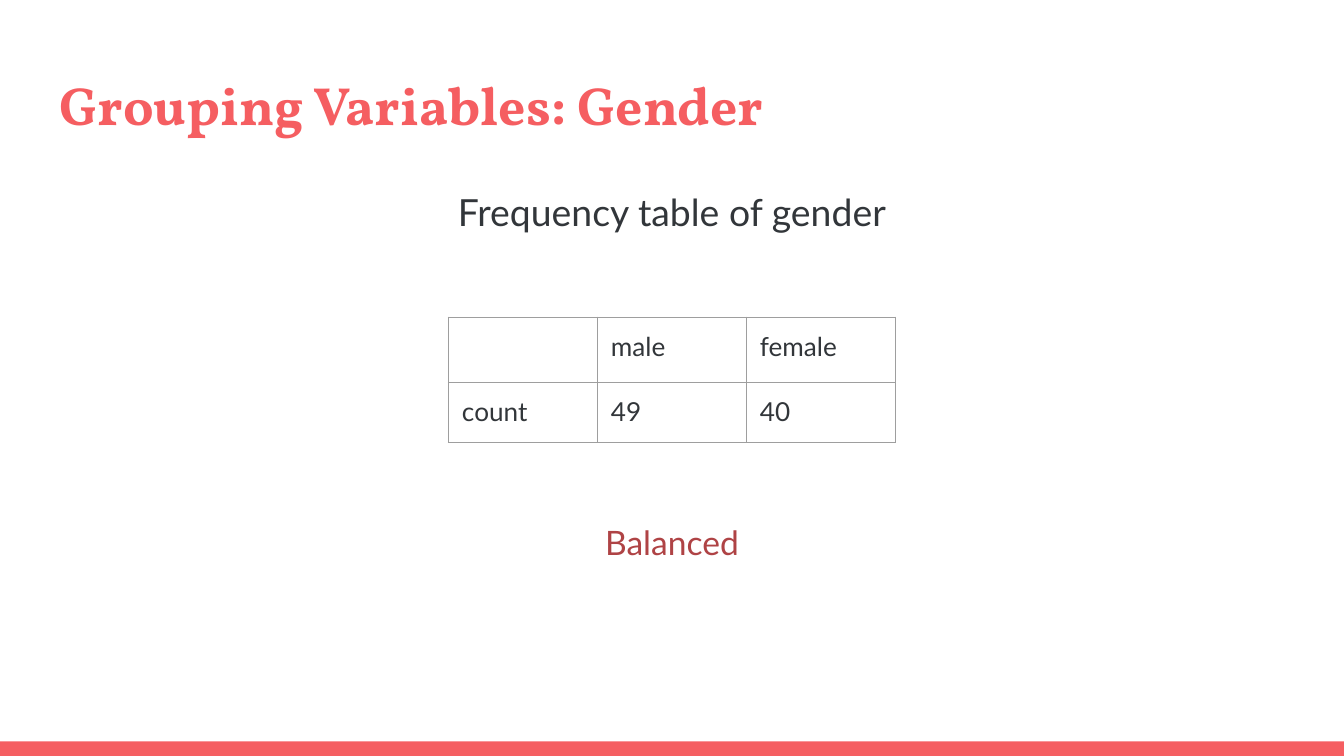
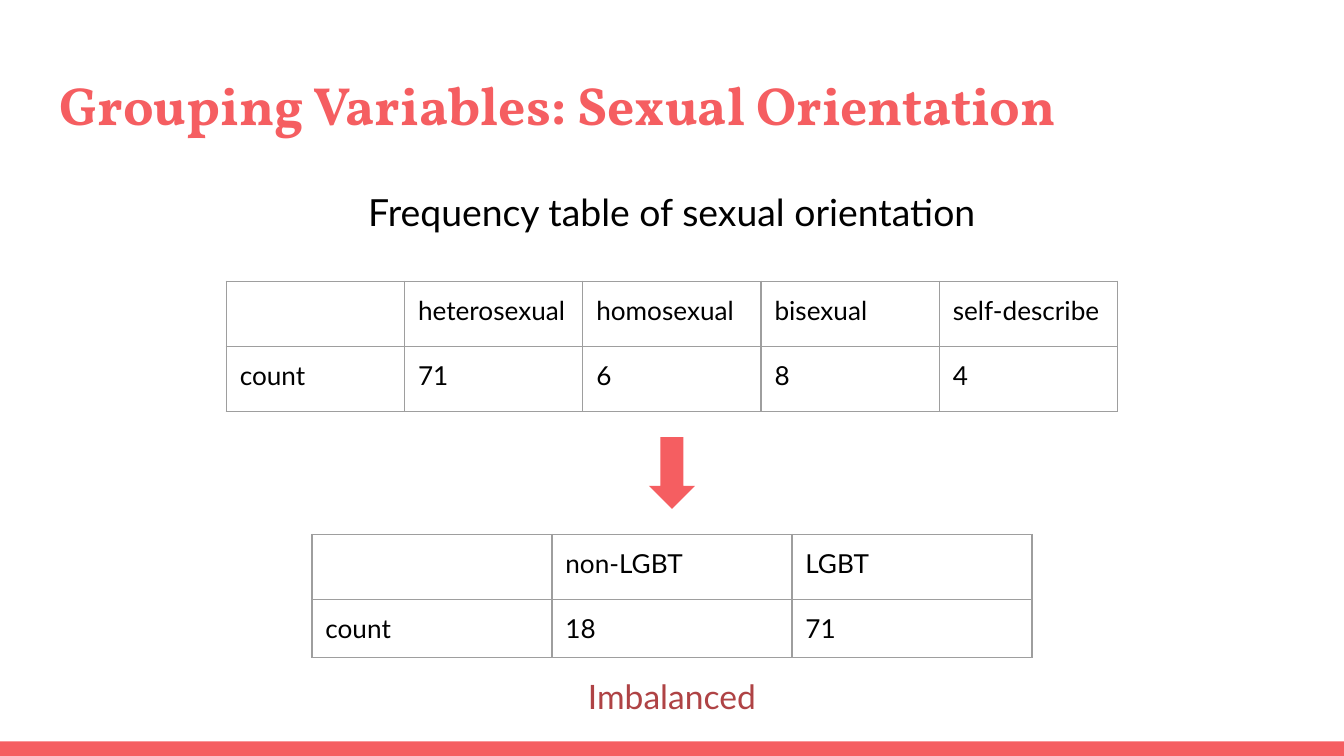
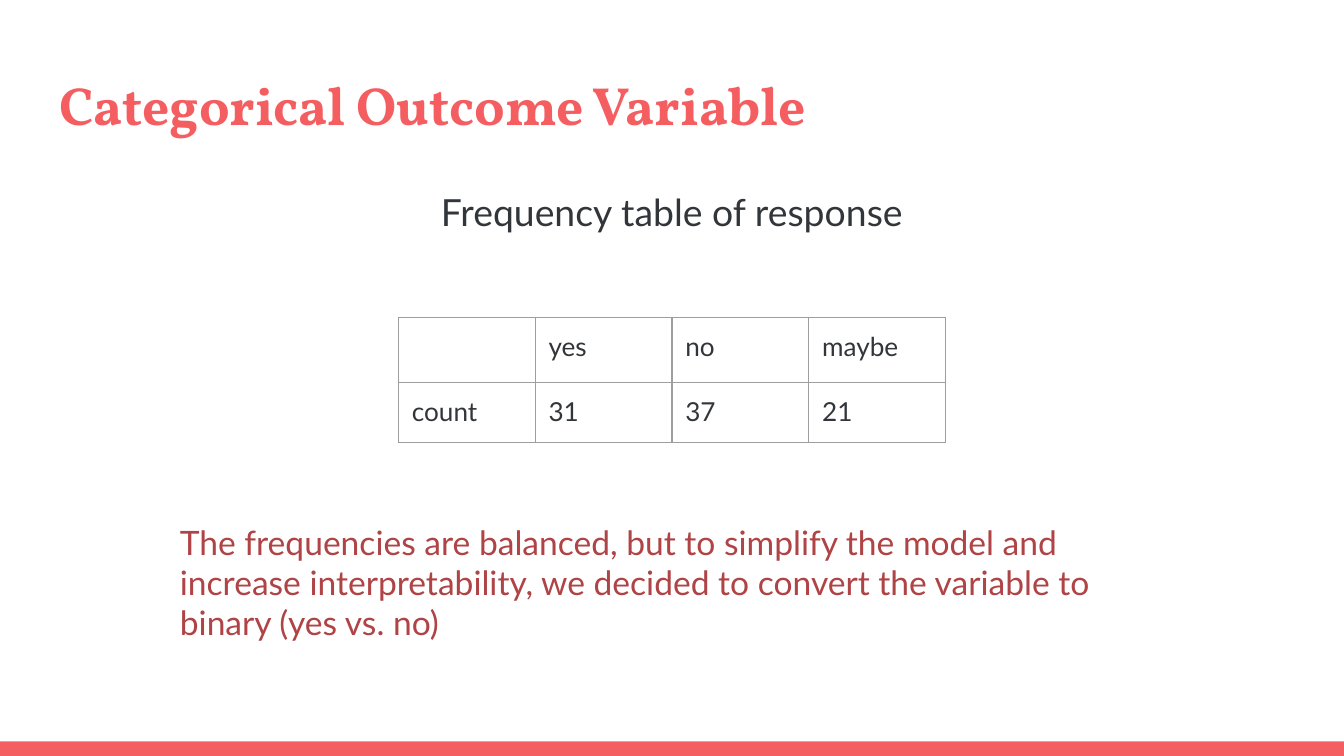
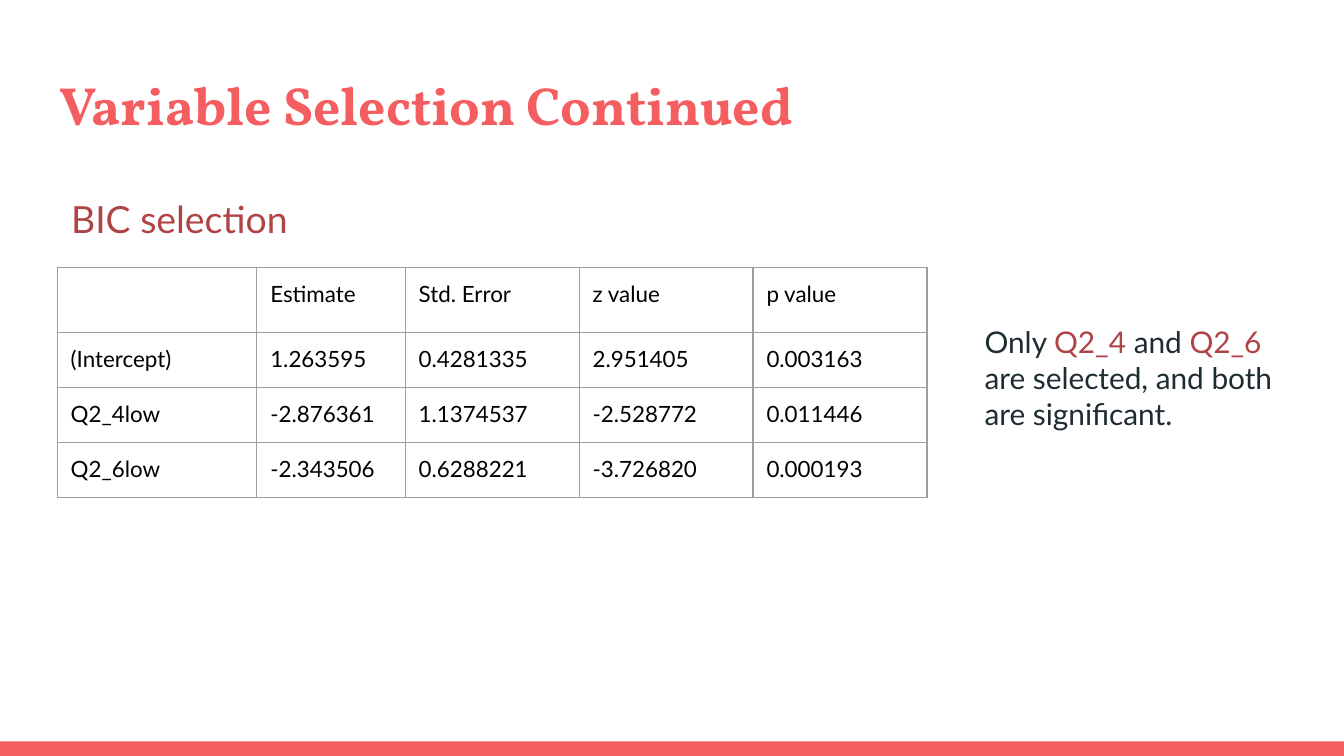
import pptx
import pptx.util
import pptx.dml.color
import pptx.enum.shapes
import pptx.enum.text
from dataclasses import dataclass
from lxml import etree

Pt = pptx.util.Pt
ALIGN = pptx.enum.text.PP_ALIGN
SHAPE = pptx.enum.shapes.MSO_SHAPE


@dataclass(frozen=True)
class Theme:
    coral: str = "F55E61"
    red: str = "AF4345"
    slate: str = "32363A"
    ink: str = "1E2D31"
    black: str = "000000"
    grid: str = "9E9E9E"
    head: str = "Vollkorn"
    body: str = "Lato"
    title: float = 28.8
    lead: float = 20
    note: float = 18
    side: float = 16
    cell: float = 14
    small: float = 12


T = Theme()
WIDE, HIGH = 720, 405
PAD = 7.2
HEAD_ROW = 34.8
BAND = (0, 397.2, WIDE, 7.8)
TITLE = (24.5, 31, 671, 49)
LEAD = (24.5, 90.7, 671, 41.5)

# Tables: top, column widths, height of the rows below the head, size, colour, rows.
# A table without "left" is centred on the slide.
# Notes: box, size, alignment, runs of (text, colour).
SLIDES = [
    dict(
        title="Grouping Variables: Gender",
        lead=("Frequency table of gender", T.slate),
        tables=[dict(top=170, cols=[79.8] * 3, row=32.4, size=T.cell, ink=T.slate,
                     rows=[["", "male", "female"], ["count", "49", "40"]])],
        notes=[((300.5, 272.2, 119, 36), T.note, ALIGN.CENTER, [("Balanced", T.red)])],
    ),
    dict(
        title="Grouping Variables: Sexual Orientation",
        lead=("Frequency table of sexual orientation", T.black),
        tables=[
            dict(top=150.7, cols=[95.5] * 5, row=34.8, size=T.cell, ink=T.black,
                 rows=[["", "heterosexual", "homosexual", "bisexual", "self-describe"],
                       ["count", "71", "6", "8", "4"]]),
            dict(top=286.3, cols=[128.6] * 3, row=31.2, size=T.cell, ink=T.black,
                 rows=[["", "non-LGBT", "LGBT"], ["count", "18", "71"]]),
        ],
        arrow=(347.7, 234.2, 24.6, 38.4),
        notes=[((300.5, 354.8, 119, 36), T.note, ALIGN.CENTER, [("Imbalanced", T.red)])],
    ),
    dict(
        title="Categorical Outcome Variable",
        lead=("Frequency table of response", T.slate),
        tables=[dict(top=170, cols=[73.3] * 4, row=32.4, size=T.cell, ink=T.slate,
                     rows=[["", "yes", "no", "maybe"], ["count", "31", "37", "21"]])],
        notes=[((89.3, 272.2, 541.4, 80), T.note, ALIGN.LEFT,
                [("The frequencies are balanced, but to simplify the model and increase "
                  "interpretability, we decided to convert the variable to binary "
                  "(yes vs. no)", T.red)])],
    ),
    dict(
        title="Variable Selection Continued",
        tables=[dict(left=30.7, top=143.2, cols=[106.9, 79.5] + [93.2] * 3, row=29.5,
                     size=T.small, ink=T.black,
                     rows=[["", "Estimate", "Std. Error", "z value", "p value"],
                           ["(Intercept)", "1.263595", "0.4281335", "2.951405", "0.003163"],
                           ["Q2_4low", "-2.876361", "1.1374537", "-2.528772", "0.011446"],
                           ["Q2_6low", "-2.343506", "0.6288221", "-3.726820", "0.000193"]])],
        notes=[
            ((31, 98, 239, 39), T.lead, ALIGN.LEFT, [("BIC selection", T.red)]),
            ((520.4, 166.2, 180, 73), T.side, ALIGN.LEFT,
             [("Only ", T.ink), ("Q2_4", T.red), (" and ", T.ink), ("Q2_6", T.red),
              (" are selected, and both are significant.", T.ink)]),
        ],
    ),
]


def rgb(ink):
    return pptx.dml.color.RGBColor.from_string(ink)


def pts(box):
    return [Pt(n) for n in box]


def style(font, size, ink, face=T.body, bold=False):
    font.size, font.name, font.bold = Pt(size), face, bold
    font.color.rgb = rgb(ink)


def write(frame, runs, size, align=ALIGN.LEFT, **look):
    """Fill a text frame with one paragraph of coloured runs."""
    frame.word_wrap = True
    frame.auto_size = pptx.enum.text.MSO_AUTO_SIZE.NONE
    frame.vertical_anchor = pptx.enum.text.MSO_ANCHOR.TOP
    frame.margin_left = frame.margin_right = Pt(PAD)
    frame.margin_top = frame.margin_bottom = Pt(PAD)
    para = frame.paragraphs[0]
    para.alignment = align
    for text, ink in runs:
        run = para.add_run()
        run.text = text
        style(run.font, size, ink, **look)
    return para


def add_text(slide, box, size, align, runs):
    return write(slide.shapes.add_textbox(*pts(box)).text_frame, runs, size, align)


def add_block(slide, kind, box):
    """Add a plain coral shape."""
    block = slide.shapes.add_shape(kind, *pts(box))
    block.shadow.inherit = False
    block.fill.solid()
    block.fill.fore_color.rgb = rgb(T.coral)
    block.line.fill.background()
    return block


def rule(cell):
    """Draw the thin grid line on all four sides of a cell."""
    ns = "http://schemas.openxmlformats.org/drawingml/2006/main"
    props = cell._tc.get_or_add_tcPr()
    for spot, side in enumerate(("lnL", "lnR", "lnT", "lnB")):
        line = etree.Element(f"{{{ns}}}{side}", w=str(Pt(0.75)))
        fill = etree.SubElement(line, f"{{{ns}}}solidFill")
        etree.SubElement(fill, f"{{{ns}}}srgbClr", val=T.grid)
        props.insert(spot, line)


def add_grid(slide, top, cols, row, size, ink, rows, left=None):
    wide = sum(cols)
    left = (WIDE - wide) / 2 if left is None else left
    highs = [HEAD_ROW] + [row] * (len(rows) - 1)
    grid = slide.shapes.add_table(len(rows), len(cols),
                                  *pts((left, top, wide, sum(highs)))).table
    grid.first_row = grid.horz_banding = False
    for col, width in zip(grid.columns, cols):
        col.width = Pt(width)
    for line, high, texts in zip(grid.rows, highs, rows):
        line.height = Pt(high)
        for cell, text in zip(line.cells, texts):
            cell.margin_left = cell.margin_right = Pt(PAD)
            cell.margin_top = cell.margin_bottom = Pt(PAD)
            cell.fill.background()
            rule(cell)
            para = cell.text_frame.paragraphs[0]
            if text:
                para.text = text
                style(para.runs[0].font, size, ink)
            else:
                tag = para._p.tag.replace("}p", "}endParaRPr")
                etree.SubElement(para._p, tag, sz=str(size * 100))


def build(deck, layout, page):
    slide = deck.slides.add_slide(layout)
    title = slide.shapes.title
    title.left, title.top, title.width, title.height = pts(TITLE)
    write(title.text_frame, [(page["title"], T.coral)], T.title, face=T.head, bold=True)
    if "lead" in page:
        para = add_text(slide, LEAD, T.lead, ALIGN.CENTER, [page["lead"]])
        para.line_spacing, para.space_after = 1.15, Pt(12)
    for table in page["tables"]:
        add_grid(slide, **table)
    if "arrow" in page:
        add_block(slide, SHAPE.DOWN_ARROW, page["arrow"])
    for note in page["notes"]:
        add_text(slide, *note)
    return slide


def main():
    deck = pptx.Presentation()
    deck.slide_width, deck.slide_height = Pt(WIDE), Pt(HIGH)
    layout = deck.slide_layouts[5]
    slides = [build(deck, layout, page) for page in SLIDES]
    # The band belongs to the layout, so every slide shows it.
    band = add_block(slides[0], SHAPE.RECTANGLE, BAND)
    layout.shapes.element.append(band.element)
    deck.save("out.pptx")


if __name__ == "__main__":
    main()
